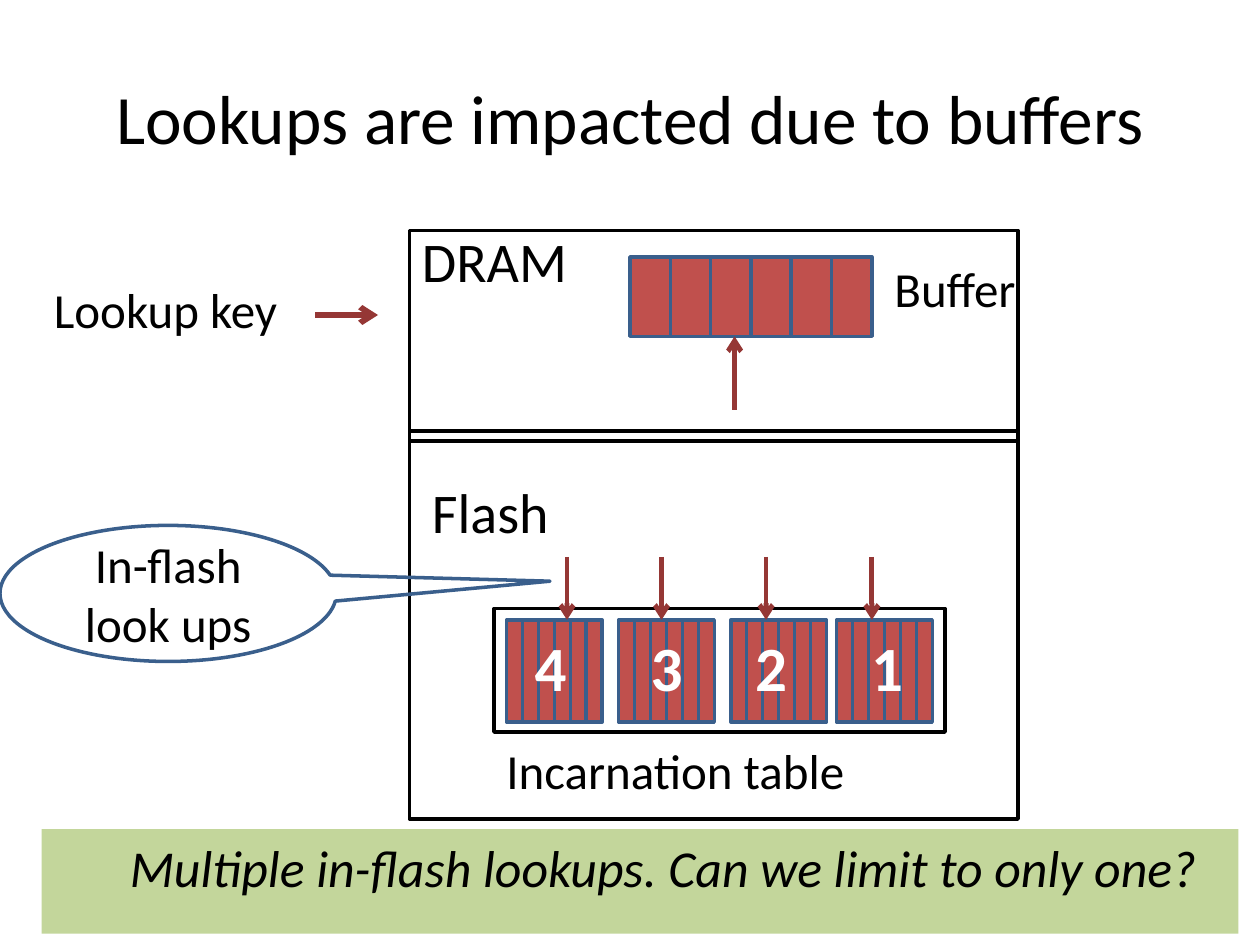
import pptx
import pptx.util
import pptx.dml.color
import pptx.enum.shapes
import pptx.enum.text
import pptx.oxml
import pptx.oxml.ns
from dataclasses import dataclass

Inches = pptx.util.Inches
Pt = pptx.util.Pt
Shape = pptx.enum.shapes.MSO_SHAPE
Align = pptx.enum.text.PP_ALIGN
Anchor = pptx.enum.text.MSO_ANCHOR


@dataclass(frozen=True)
class Theme:
    font: str = "Calibri"
    ink: str = "000000"
    white: str = "FFFFFF"
    red: str = "C0504D"
    blue: str = "3A5F8C"
    arrow: str = "953735"
    green: str = "C3D69B"
    title: float = 39.6
    large: float = 32
    label: float = 28
    banner: float = 29.6
    number: float = 36
    edge: float = 2


def color(code):
    return pptx.dml.color.RGBColor.from_string(code)


def place(*lengths):
    return [Inches(length) for length in lengths]


class Painter:
    def __init__(self, slide, theme):
        self.slide = slide
        self.theme = theme

    def letter(self, shape, text, size, ink=None, align=Align.LEFT,
               anchor=Anchor.TOP, **style):
        frame = shape.text_frame
        frame.word_wrap = True
        frame.vertical_anchor = anchor
        frame.text = text
        line = frame.paragraphs[0]
        line.alignment = align
        font = line.runs[0].font
        form = {"name": self.theme.font, "size": Pt(size), **style}
        for key, value in form.items():
            setattr(font, key, value)
        font.color.rgb = color(ink or self.theme.ink)

    def title(self, text, box):
        shape = self.slide.shapes.title
        for key, value in zip(("left", "top", "width", "height"), place(*box)):
            setattr(shape, key, value)
        self.letter(shape, text, self.theme.title, align=Align.CENTER,
                    anchor=Anchor.MIDDLE)

    def label(self, text, box, size, **style):
        shape = self.slide.shapes.add_textbox(*place(*box))
        self.letter(shape, text, size, **style)

    def shape(self, box, fill=None, edge=None, kind=Shape.RECTANGLE, home=None):
        shapes = (home or self.slide).shapes
        shape = shapes.add_shape(kind, *place(*box))
        shape.shadow.inherit = False
        if fill:
            shape.fill.solid()
            shape.fill.fore_color.rgb = color(fill)
        else:
            shape.fill.background()
        if edge:
            shape.line.color.rgb = color(edge)
            shape.line.width = Pt(self.theme.edge)
        else:
            shape.line.fill.background()
        return shape

    def strip(self, left, top, width, height, count=6):
        group = self.slide.shapes.add_group_shape()
        step = width / count
        for index in range(count):
            self.shape((left + index * step, top, step, height),
                       self.theme.red, self.theme.blue, home=group)

    def arrow(self, start, end, width=2.75):
        line = self.slide.shapes.add_connector(
            pptx.enum.shapes.MSO_CONNECTOR.STRAIGHT, *place(*start, *end))
        line.line.color.rgb = color(self.theme.arrow)
        line.line.width = Pt(width)
        tag = pptx.oxml.ns.nsdecls("a")
        form = line.element.spPr
        form.find(pptx.oxml.ns.qn("a:ln")).append(
            pptx.oxml.parse_xml(f'<a:tailEnd {tag} type="arrow"/>'))
        form.append(pptx.oxml.parse_xml(f"<a:effectLst {tag}/>"))


def main():
    deck = pptx.Presentation()
    deck.slide_width, deck.slide_height = place(10, 7.5)
    theme = Theme()
    pen = Painter(deck.slides.add_slide(deck.slide_layouts[5]), theme)
    pen.title("Lookups are impacted due to buffers", (0.5, 0.3, 9, 1.25))

    # Memory areas
    pen.shape((3.25, 1.83, 4.83, 1.67), edge=theme.ink)
    pen.shape((3.25, 3.42, 4.83, 3.08), edge=theme.ink)
    pen.label("DRAM", (3.25, 1.75, 1.83, 0.64), theme.large)
    pen.label("Flash", (3.33, 3.74, 1.83, 0.64), theme.large)

    # Buffer in DRAM
    pen.strip(5, 2.04, 1.92, 0.63)
    pen.label("Buffer", (7, 2, 1.42, 0.57), theme.label)

    # Incarnation table in flash
    pen.label("Incarnation table", (3.92, 5.83, 3.67, 0.57), theme.label)
    pen.shape((3.92, 4.83, 3.58, 0.98), edge=theme.ink)
    for left in (4.02, 4.91, 5.8, 6.64):
        pen.strip(left, 4.92, 0.76, 0.81)

    # Lookup path
    pen.label("Lookup key", (0.33, 2.17, 2.17, 0.57), theme.label)
    pen.arrow((2.5, 2.5), (3, 2.5), 3.25)
    pen.arrow((5.83, 3.25), (5.83, 2.67))
    call = pen.shape((0, 4.17, 2.67, 1.08), edge=theme.blue,
                     kind=Shape.OVAL_CALLOUT)
    call.adjustments[0], call.adjustments[1] = 1.135, -0.09
    pen.letter(call, "In-flash look ups", theme.label, align=Align.CENTER,
               anchor=Anchor.MIDDLE)
    for left in (4.5, 5.25, 6.08, 6.92):
        pen.arrow((left, 4.42), (left, 4.92))

    # Closing banner
    bar = pen.shape((0.33, 6.58, 9.5, 0.83), theme.green)
    bar.text_frame.margin_left = Inches(0.48)
    pen.letter(bar, "Multiple in-flash lookups. Can we limit to only one?",
               theme.banner, align=Align.CENTER, italic=True)

    # Incarnation numbers
    for text, left in zip("4321", (3.83, 4.75, 5.58, 6.5)):
        pen.label(text, (left, 4.75, 1.08, 1.08), theme.number, ink=theme.white,
                  align=Align.CENTER, anchor=Anchor.MIDDLE, bold=True)

    deck.save("out.pptx")


if __name__ == "__main__":
    main()
